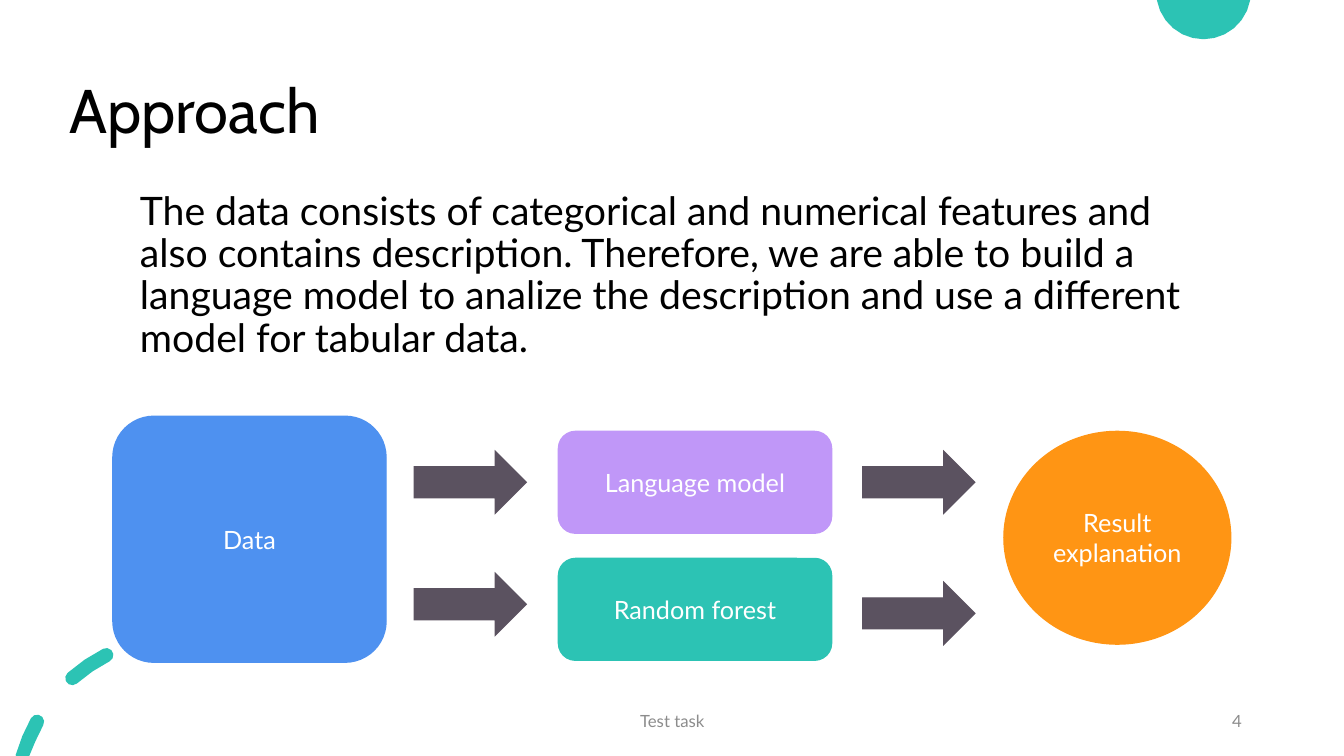
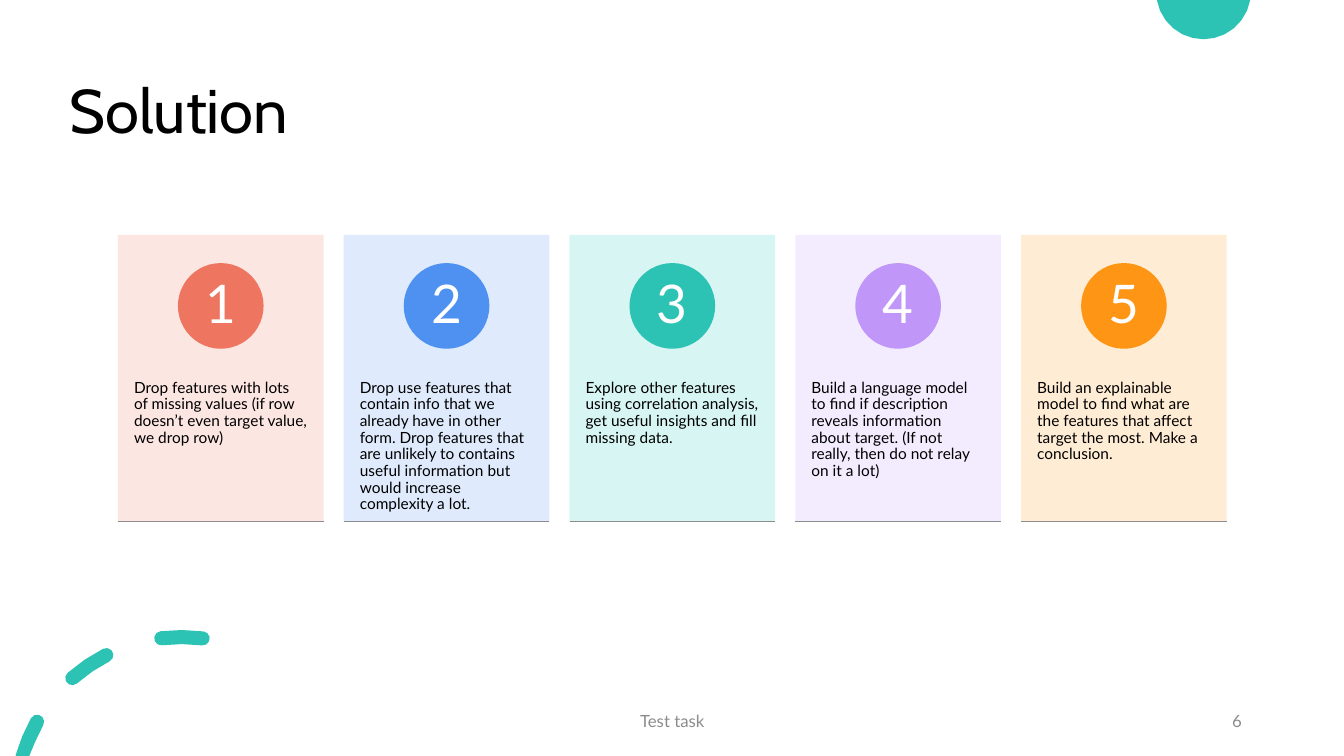
from dataclasses import dataclass
from math import cos, radians, sin

from lxml.etree import SubElement
from pptx import Presentation
from pptx.dml.color import RGBColor
from pptx.enum.shapes import MSO_CONNECTOR, MSO_SHAPE
from pptx.enum.text import MSO_ANCHOR, MSO_AUTO_SIZE, PP_ALIGN
from pptx.oxml.ns import qn
from pptx.shapes.autoshape import Shape
from pptx.slide import Slide
from pptx.text.text import TextFrame
from pptx.util import Inches, Pt

COLORS = {
    "teal": "2CC3B4", "blue": "4E91F0", "coral": "EE7661", "violet": "C097F8",
    "orange": "FF9514", "slate": "5B5260", "gray": "8C8C8C",
    "black": "000000", "white": "FFFFFF",
    "pale coral": "FCE4DF", "pale blue": "DCE9FC", "pale teal": "D3F5F2",
    "pale violet": "F2EAFE", "pale orange": "FFEAD0",
}
TITLE_FONT = "Cabin"
BODY_FONT = "Lato"
SLIDE_HEIGHT = 7.5
SLIDE_WIDTH = SLIDE_HEIGHT * 16 / 9

Area = tuple[float, float, float, float]
Point = tuple[float, float]

DOT_CENTER, DOT_RADIUS = (11.94, -0.08), 0.47
RING_CENTER, RING_RADIUS, RING_HALF_WIDTH = (1.8, 7.96), 1.64, 0.07
DASH_ANGLES = [(82.6, 97), (117, 131.3), (150.8, 164)]


@dataclass(frozen=True)
class Node:
    kind: MSO_SHAPE
    area: Area
    color: str
    text: str = ""


@dataclass(frozen=True)
class Card:
    color: str
    text: str


NODES = [
    Node(MSO_SHAPE.ROUNDED_RECTANGLE, (1.12, 4.13, 2.71, 2.44), "blue", "Data"),
    Node(MSO_SHAPE.ROUNDED_RECTANGLE, (5.54, 5.54, 2.71, 1.01), "teal", "Random forest"),
    Node(MSO_SHAPE.ROUNDED_RECTANGLE, (5.54, 4.28, 2.71, 1.01), "violet", "Language model"),
    Node(MSO_SHAPE.OVAL, (9.96, 4.28, 2.25, 2.11), "orange", "Result\nexplanation"),
]
ARROW_CORNERS = [(4.11, 4.48), (4.11, 5.69), (8.56, 4.48), (8.56, 5.78)]
ARROW_SIZE = (1.11, 0.61)

APPROACH_TEXT = (
    "The data consists of categorical and numerical features and also contains "
    "description. Therefore, we are able to build a language model to analize the "
    "description and use a different model for tabular data."
)
CARDS = [
    Card("coral", "Drop features with lots\vof missing values (if row doesn’t even "
         "target value, we drop row)"),
    Card("blue", "Drop use features that contain info that we already have in other "
         "form. Drop features that are unlikely to contains useful information but "
         "would increase complexity a lot."),
    Card("teal", "Explore other features using correlation analysis, get useful "
         "insights and fill missing data."),
    Card("violet", "Build a language model to find if description reveals information\v"
         "about target. (If not really, then do not relay on it a lot)"),
    Card("orange", "Build an explainable model to find what are the features that "
         "affect target the most. Make a conclusion."),
]
CARD_LEFT, CARD_TOP, CARD_WIDTH, CARD_HEIGHT, CARD_STEP = 1.17, 2.33, 2.04, 2.84, 2.24
BADGE_SIZE = 0.85


def rgb(color: str) -> RGBColor:
    return RGBColor.from_string(COLORS[color])


def write_text(
    frame: TextFrame, text: str, *, size: float, color: str = "black",
    font: str = BODY_FONT, align: PP_ALIGN = PP_ALIGN.LEFT,
    anchor: MSO_ANCHOR = MSO_ANCHOR.MIDDLE, line_spacing: float = 1.0,
    insets: tuple[float, float] = (0.1, 0.05),
) -> None:
    """Fill a frame, one paragraph a line; insets are horizontal and vertical."""
    frame.auto_size = MSO_AUTO_SIZE.NONE
    frame.word_wrap = True
    frame.vertical_anchor = anchor
    frame.margin_left = frame.margin_right = Inches(insets[0])
    frame.margin_top = frame.margin_bottom = Inches(insets[1])
    for index, line in enumerate(text.split("\n")):
        para = frame.add_paragraph() if index else frame.paragraphs[0]
        para.text = line
        para.alignment = align
        para.line_spacing = line_spacing
        for span in para.runs:
            span.font.name = font
            span.font.size = Pt(size)
            span.font.color.rgb = rgb(color)


def add_text_box(page: Slide, area: Area, text: str, **text_format) -> None:
    box = page.shapes.add_textbox(*map(Inches, area))
    write_text(box.text_frame, text, **text_format)


def paint(shape: Shape, color: str, outlined: bool = False) -> None:
    shape.shadow.inherit = False
    shape.fill.solid()
    shape.fill.fore_color.rgb = rgb(color)
    if outlined:
        shape.line.color.rgb = rgb(color)
        shape.line.width = Pt(1)
        SubElement(shape.line._get_or_add_ln(), qn("a:miter")).set("lim", "800000")
    else:
        shape.line.fill.background()


def add_shape(
    page: Slide, kind: MSO_SHAPE, area: Area, color: str, outlined: bool = False
) -> Shape:
    shape = page.shapes.add_shape(kind, *map(Inches, area))
    paint(shape, color, outlined)
    return shape


def set_opacity(shape: Shape, percent: int) -> None:
    fill_color = shape.fill._xPr.find(qn("a:solidFill"))[0]
    SubElement(fill_color, qn("a:alpha")).set("val", str(percent * 1000))


def arc(center: Point, radius: float, start: float, end: float, steps: int) -> list[Point]:
    """Points on an arc, with angles in degrees counted anticlockwise."""
    angles = [radians(start + (end - start) * step / steps) for step in range(steps + 1)]
    return [(center[0] + radius * cos(angle), center[1] - radius * sin(angle))
            for angle in angles]


def add_outline(page: Slide, contours: list[list[Point]], color: str) -> None:
    """Draw one filled shape, cut off at the slide's top and bottom."""
    builder = None
    for contour in contours:
        corners = [(Inches(x), Inches(min(max(y, 0), SLIDE_HEIGHT))) for x, y in contour]
        if builder is None:
            builder = page.shapes.build_freeform(*corners[0])
        else:
            builder.move_to(*corners[0])
        builder.add_line_segments(corners[1:], close=True)
    paint(builder.convert_to_shape(), color)


def dash_outline(start: float, end: float) -> list[Point]:
    """A curved dash with round ends."""
    first, last = arc(RING_CENTER, RING_RADIUS, start, end, 1)
    return (
        arc(RING_CENTER, RING_RADIUS + RING_HALF_WIDTH, start, end, 2)
        + arc(last, RING_HALF_WIDTH, end, end + 180, 5)[1:-1]
        + arc(RING_CENTER, RING_RADIUS - RING_HALF_WIDTH, end, start, 2)
        + arc(first, RING_HALF_WIDTH, start + 180, start + 360, 5)[1:-1]
    )


def add_page(deck: Presentation, title: str, number: int) -> Slide:
    """Add a slide with the shared decoration, title and footer."""
    page = deck.slides.add_slide(deck.slide_layouts[6])
    add_outline(page, [arc(DOT_CENTER, DOT_RADIUS, -170, -10, 12)], "teal")
    add_outline(page, [dash_outline(*angles) for angles in DASH_ANGLES], "teal")
    add_text_box(page, (0.59, 0.4, 11.5, 1.45), title, size=44, font=TITLE_FONT,
                 line_spacing=0.9)
    add_text_box(page, (4.42, 6.95, 4.5, 0.4), "Test task", size=12, color="gray",
                 align=PP_ALIGN.CENTER)
    add_text_box(page, (9.42, 6.95, 3, 0.4), str(number), size=12, color="gray",
                 align=PP_ALIGN.RIGHT)
    return page


def add_card(page: Slide, card: Card, index: int) -> None:
    left = CARD_LEFT + index * CARD_STEP
    bottom = CARD_TOP + CARD_HEIGHT
    panel = add_shape(page, MSO_SHAPE.RECTANGLE,
                      (left, CARD_TOP, CARD_WIDTH, CARD_HEIGHT), f"pale {card.color}")
    set_opacity(panel, 90)
    add_text_box(page, (left, 3.41, CARD_WIDTH, 1.71), card.text, size=11,
                 anchor=MSO_ANCHOR.TOP, line_spacing=0.9, insets=(0.16, 0.36))
    badge_left = left + (CARD_WIDTH - BADGE_SIZE) / 2
    badge = add_shape(page, MSO_SHAPE.OVAL, (badge_left, 2.61, BADGE_SIZE, BADGE_SIZE),
                      card.color)
    write_text(badge.text_frame, str(index + 1), size=38, color="white",
               align=PP_ALIGN.CENTER, line_spacing=0.9, insets=(0, 0))
    rule = page.shapes.add_connector(
        MSO_CONNECTOR.STRAIGHT,
        *map(Inches, (left, bottom, left + CARD_WIDTH, bottom)))
    rule.line.color.rgb = rgb("gray")
    rule.line.width = Pt(0.5)
    SubElement(rule._element.spPr, qn("a:effectLst"))


def build_approach(deck: Presentation) -> None:
    page = add_page(deck, "Approach", 4)
    add_text_box(page, (1.29, 1.85, 10.65, 1.9), APPROACH_TEXT, size=28,
                 anchor=MSO_ANCHOR.TOP, line_spacing=0.9)
    for node in NODES:
        shape = add_shape(page, node.kind, node.area, node.color, outlined=True)
        write_text(shape.text_frame, node.text, size=18, color="white",
                   align=PP_ALIGN.CENTER)
    for corner in ARROW_CORNERS:
        add_shape(page, MSO_SHAPE.RIGHT_ARROW, corner + ARROW_SIZE, "slate", outlined=True)


def build_solution(deck: Presentation) -> None:
    page = add_page(deck, "Solution", 6)
    for index, card in enumerate(CARDS):
        add_card(page, card, index)


def main() -> None:
    deck = Presentation()
    deck.slide_width = Inches(SLIDE_WIDTH)
    deck.slide_height = Inches(SLIDE_HEIGHT)
    build_approach(deck)
    build_solution(deck)
    deck.save("out.pptx")


if __name__ == "__main__":
    main()
